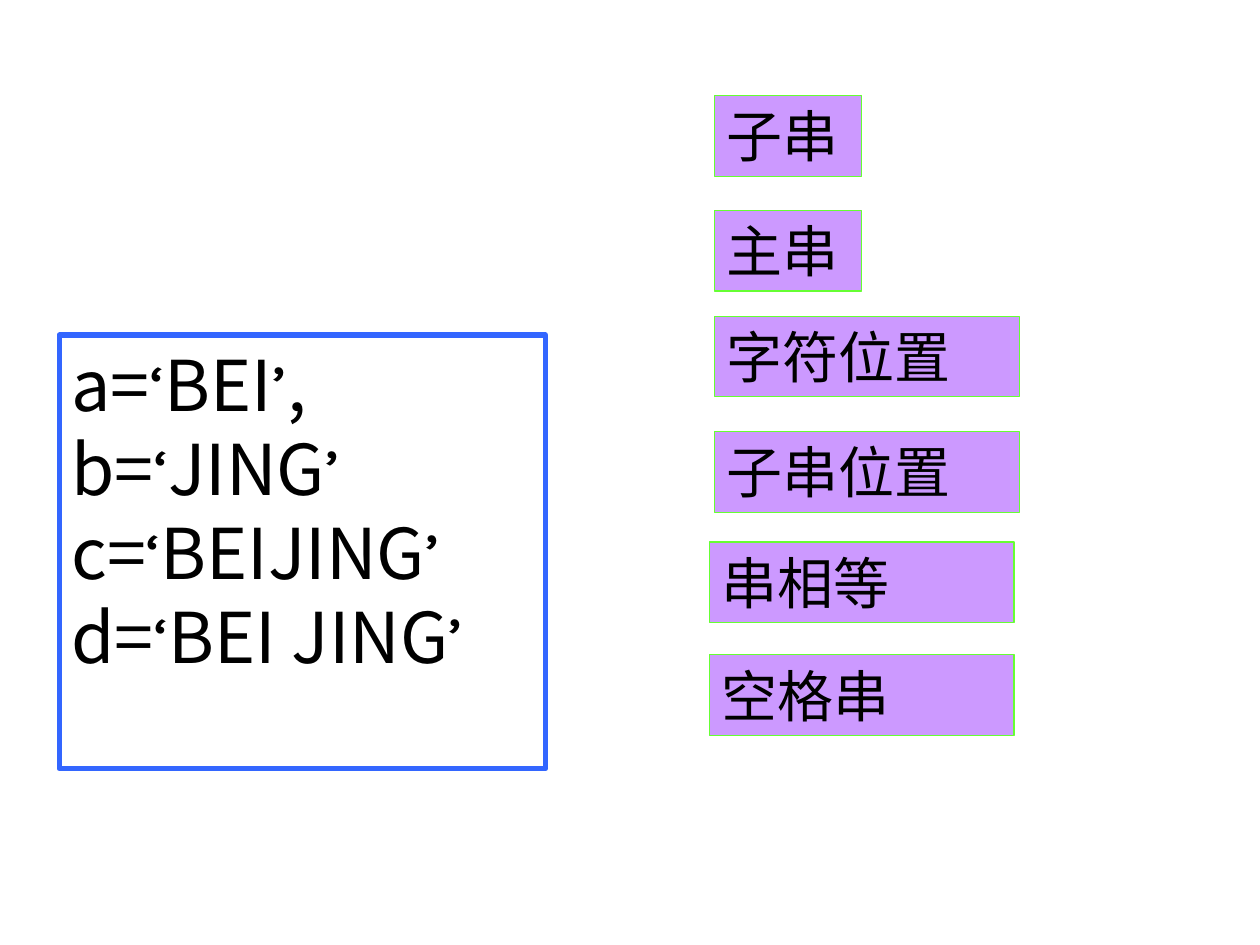
from pptx import Presentation
from pptx.dml.color import RGBColor as RGB
from pptx.enum.shapes import MSO_SHAPE as Shape
from pptx.enum.text import MSO_ANCHOR as Anchor, PP_ALIGN as Align
from pptx.oxml.ns import qn
from pptx.util import Pt
from lxml.etree import SubElement as Sub

BLACK = RGB(0, 0, 0)
BLUE = RGB(0x33, 0x66, 0xFF)
GREEN = RGB(0x66, 0xFF, 0x33)
LILAC = RGB(0xCC, 0x99, 0xFF)
SANS, QUOTE = "Noto Sans CJK SC", "Karla"
FRAME = {"word_wrap": True, "vertical_anchor": Anchor.TOP,
         "margin_left": Pt(7.2), "margin_right": Pt(7.2),
         "margin_top": Pt(3.6), "margin_bottom": Pt(3.6)}


def style(item, form):
    for key, val in form.items():
        setattr(item, key, val)


def add_box(slide, box, edge, width, fill=None):
    shape = slide.shapes.add_shape(Shape.RECTANGLE, *map(Pt, box))
    shape.shadow.inherit = False
    if fill is None:
        shape.fill.background()
    else:
        shape.fill.solid()
        shape.fill.fore_color.rgb = fill
    shape.line.color.rgb = edge
    shape.line.width = Pt(width)
    style(shape.text_frame, FRAME)
    return shape.text_frame


def add_run(para, text, size, face=SANS):
    run = para.add_run()
    run.text = text
    style(run.font, {"size": Pt(size), "name": face})
    run.font.color.rgb = BLACK
    Sub(run.font._element, qn("a:ea")).set("typeface", face)


def add_code(slide, box, rows):
    """Frame with one string assignment on each line."""
    frame = add_box(slide, box, BLUE, 3)
    for i, (name, text, tail) in enumerate(rows):
        para = frame.paragraphs[0] if i == 0 else frame.add_paragraph()
        para.alignment = Align.LEFT
        parts = [(name + "=", SANS), ("‘", QUOTE), (text, SANS),
                 ("’", QUOTE), (tail, SANS)]
        for part, face in parts:
            if part:
                add_run(para, part, 40, face)


def add_terms(slide, left, top, terms):
    """Column of term labels, each offset from the column corner."""
    for text, dx, dy, width in terms:
        frame = add_box(slide, (left + dx, top + dy, width, 46),
                        GREEN, 0.75, LILAC)
        para = frame.paragraphs[0]
        para.alignment = Align.LEFT
        add_run(para, text, 32)


def main():
    deck = Presentation()
    style(deck, {"slide_width": Pt(720), "slide_height": Pt(540)})
    slide = deck.slides.add_slide(deck.slide_layouts[6])

    # String values
    add_code(slide, (33.8, 191.5, 278, 247.7), [
        ("a", "BEI", ","), ("b", "JING", ""),
        ("c", "BEIJING", ""), ("d", "BEI JING", "")])

    # Terms
    short, long = 84.2, 174.2
    add_terms(slide, 405.3, 54.7, [
        ("子串", 3, 0, short), ("主串", 3, 65.7, short),
        ("字符位置", 3, 126, long), ("子串位置", 3, 192, long),
        ("串相等", 0, 255, long), ("空格串", 0, 319.5, long)])

    deck.save("out.pptx")


if __name__ == "__main__":
    main()
